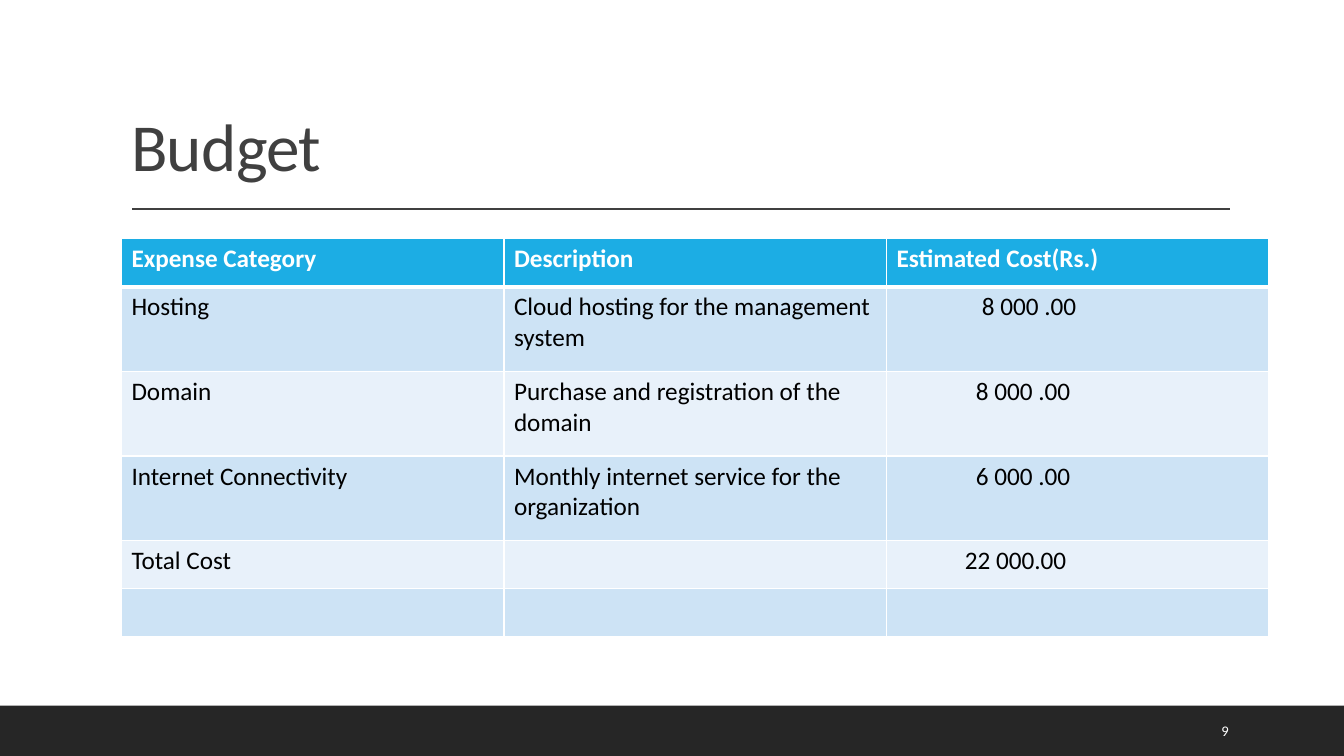
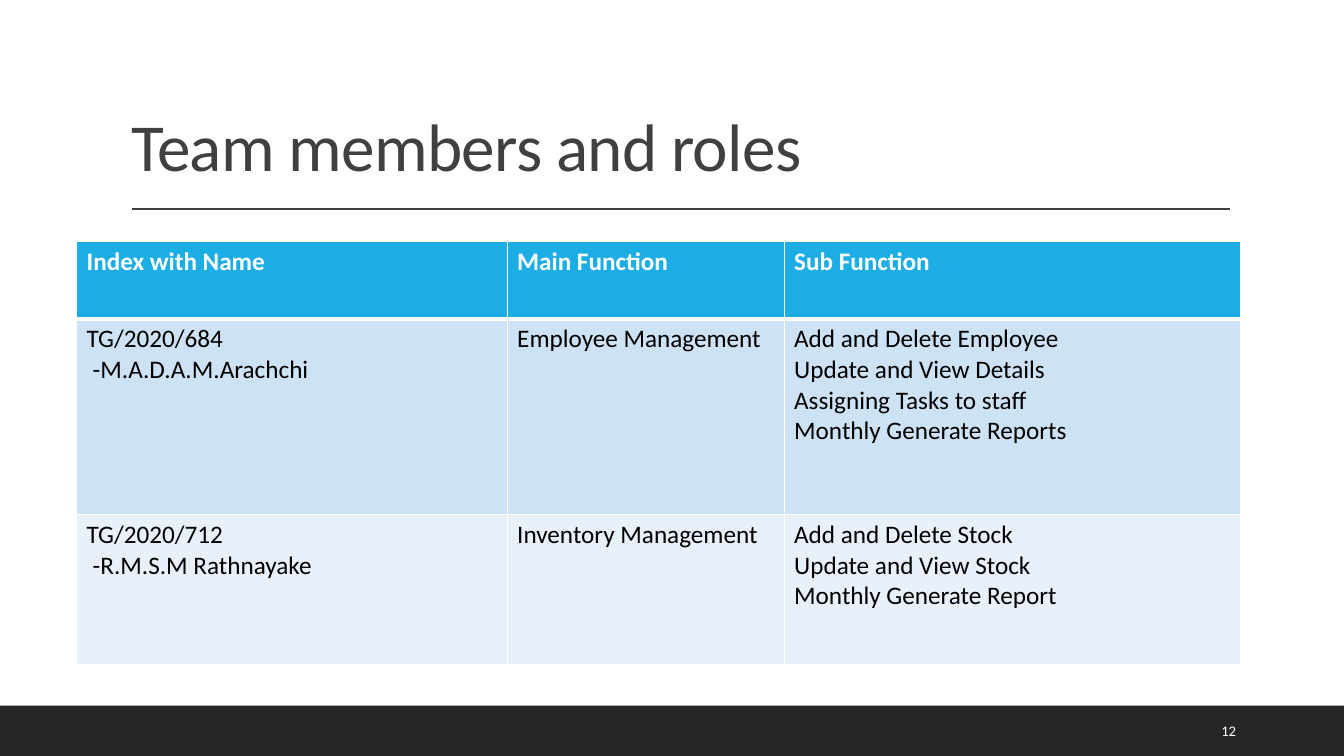
from dataclasses import dataclass

from lxml.etree import SubElement
from pptx import Presentation
from pptx.dml.color import RGBColor
from pptx.enum.shapes import MSO_CONNECTOR, MSO_SHAPE
from pptx.enum.text import MSO_ANCHOR, MSO_AUTO_SIZE, PP_ALIGN
from pptx.oxml.ns import qn
from pptx.util import Cm, Pt

FONT = "Calibri"
WHITE, BLACK, GREY, DARK = "FFFFFF", "000000", "404040", "262626"
HEADER, BANDS = "1CADE4", ("CDE3F5", "E8F1FA")
WIDTH, HEIGHT, FOOTER = 33.87, 19.05, 1.27


@dataclass(frozen=True)
class Line:
    """One paragraph of a cell, with its left indent in centimetres."""

    text: str
    indent: float = 0


@dataclass(frozen=True)
class TableSlide:
    """A titled slide holding one table, with lengths in centimetres."""

    title: str
    number: int
    left: float
    top: float
    cols: tuple[float, ...]
    rows: tuple[float, ...]
    cells: list[list[list[Line]]]


def lines(*texts: str) -> list[Line]:
    """Return unindented lines."""
    return [Line(text) for text in texts]


def member(index: str, name: str) -> list[Line]:
    """Return an index number with the member's name under it."""
    return [Line(index), Line(name, 0.15)]


SLIDES = [
    TableSlide(
        "Budget", 9, 3.06, 6.02,
        (9.64,) * 3, (1.21, 2.13, 2.13, 2.13, 1.21, 1.21),
        [
            [lines("Expense Category"), lines("Description"), lines("Estimated Cost(Rs.)")],
            [lines("Hosting"), lines("Cloud hosting for the management system"),
             [Line("8 000 .00", 2.15)]],
            [lines("Domain"), lines("Purchase and registration of the domain"),
             [Line("8 000 .00", 2)]],
            [lines("Internet Connectivity"),
             lines("Monthly internet service for the organization"),
             [Line("6 000 .00", 2)]],
            [lines("Total Cost"), [], [Line("22 000.00", 1.72)]],
            [[], [], []],
        ],
    ),
    TableSlide(
        "Team members and roles", 12, 1.93, 6.08,
        (10.85, 6.98, 11.51), (1.95, 4.93, 3.78),
        [
            [lines("Index with Name"), lines("Main Function"), lines("Sub Function")],
            [member("TG/2020/684", "-M.A.D.A.M.Arachchi"), lines("Employee Management"),
             lines("Add and Delete Employee", "Update and View Details",
                   "Assigning Tasks to staff", "Monthly Generate Reports")],
            [member("TG/2020/712", "-R.M.S.M Rathnayake"), lines("Inventory Management"),
             lines("Add and Delete Stock", "Update and View Stock",
                   "Monthly Generate Report")],
        ],
    ),
]


def rgb(color: str) -> RGBColor:
    """Turn a hex string into a colour."""
    return RGBColor.from_string(color)


def set_font(p, size: float, color: str, bold: bool = False) -> None:
    """Set the font of a whole paragraph."""
    p.font.name = FONT
    p.font.size = Pt(size)
    p.font.bold = bold
    p.font.color.rgb = rgb(color)


def add_title(s, text: str) -> None:
    """Place and format the title placeholder."""
    sp = s.shapes.title
    sp.left, sp.top, sp.width, sp.height = Cm(3.05), Cm(0.79), Cm(27.94), Cm(4.03)
    tf = sp.text_frame
    tf.text = text
    tf.word_wrap = True
    tf.auto_size = MSO_AUTO_SIZE.NONE
    tf.vertical_anchor = MSO_ANCHOR.BOTTOM
    p = tf.paragraphs[0]
    p.alignment = PP_ALIGN.LEFT
    p.line_spacing = 0.9
    set_font(p, 48, GREY)
    p.runs[0].font._element.set("spc", "-50")


def add_frame(s, number: int) -> None:
    """Draw the footer band, the rule under the title and the slide number."""
    top = HEIGHT - FOOTER
    band = s.shapes.add_shape(MSO_SHAPE.RECTANGLE, 0, Cm(top), Cm(WIDTH), Cm(FOOTER))
    band.shadow.inherit = False
    band.fill.solid()
    band.fill.fore_color.rgb = rgb(DARK)
    band.line.fill.background()

    rule = s.shapes.add_connector(MSO_CONNECTOR.STRAIGHT, Cm(3.33), Cm(5.27), Cm(31), Cm(5.27))
    rule.line.color.rgb = rgb(GREY)
    rule.line.width = Pt(1)
    SubElement(rule._element.spPr, qn("a:effectLst"))

    box = s.shapes.add_textbox(Cm(30.53), Cm(17.91), Cm(2.16), Cm(1.02))
    tf = box.text_frame
    tf.word_wrap = True
    tf.vertical_anchor = MSO_ANCHOR.MIDDLE
    tf.text = str(number)
    set_font(tf.paragraphs[0], 10.5, WHITE)


def set_borders(cell, bottom: float) -> None:
    """Give a cell white borders, with its own width at the bottom."""
    props = cell._tc.get_or_add_tcPr()
    for side, width in (("L", 1), ("R", 1), ("T", 1), ("B", bottom)):
        ln = SubElement(props, qn(f"a:ln{side}"), w=str(Pt(width)))
        SubElement(SubElement(ln, qn("a:solidFill")), qn("a:srgbClr"), val=WHITE)


def fill_cell(cell, content: list[Line], header: bool, color: str) -> None:
    """Write and format one table cell."""
    set_borders(cell, 3 if header else 1)
    cell.fill.solid()
    cell.fill.fore_color.rgb = rgb(color)
    tf = cell.text_frame
    tf.text = "\n".join(line.text for line in content)
    for p, line in zip(tf.paragraphs, content):
        if line.indent:
            p._p.get_or_add_pPr().set("marL", str(Cm(line.indent)))
        set_font(p, 18, WHITE if header else BLACK, header)


def add_grid(s, spec: TableSlide) -> None:
    """Add the table with a header row and alternating bands."""
    table = s.shapes.add_table(
        len(spec.rows), len(spec.cols), Cm(spec.left), Cm(spec.top),
        Cm(sum(spec.cols)), Cm(sum(spec.rows)),
    ).table
    for col, width in zip(table.columns, spec.cols):
        col.width = Cm(width)
    for i, (row, height) in enumerate(zip(table.rows, spec.rows)):
        row.height = Cm(height)
        color = BANDS[(i - 1) % 2] if i else HEADER
        for cell, content in zip(row.cells, spec.cells[i]):
            fill_cell(cell, content, i == 0, color)


def main() -> None:
    """Build and save the presentation."""
    prs = Presentation()
    prs.slide_width, prs.slide_height = Cm(WIDTH), Cm(HEIGHT)
    for spec in SLIDES:
        s = prs.slides.add_slide(prs.slide_layouts[5])
        add_frame(s, spec.number)
        add_title(s, spec.title)
        add_grid(s, spec)
    prs.save("out.pptx")


if __name__ == "__main__":
    main()
